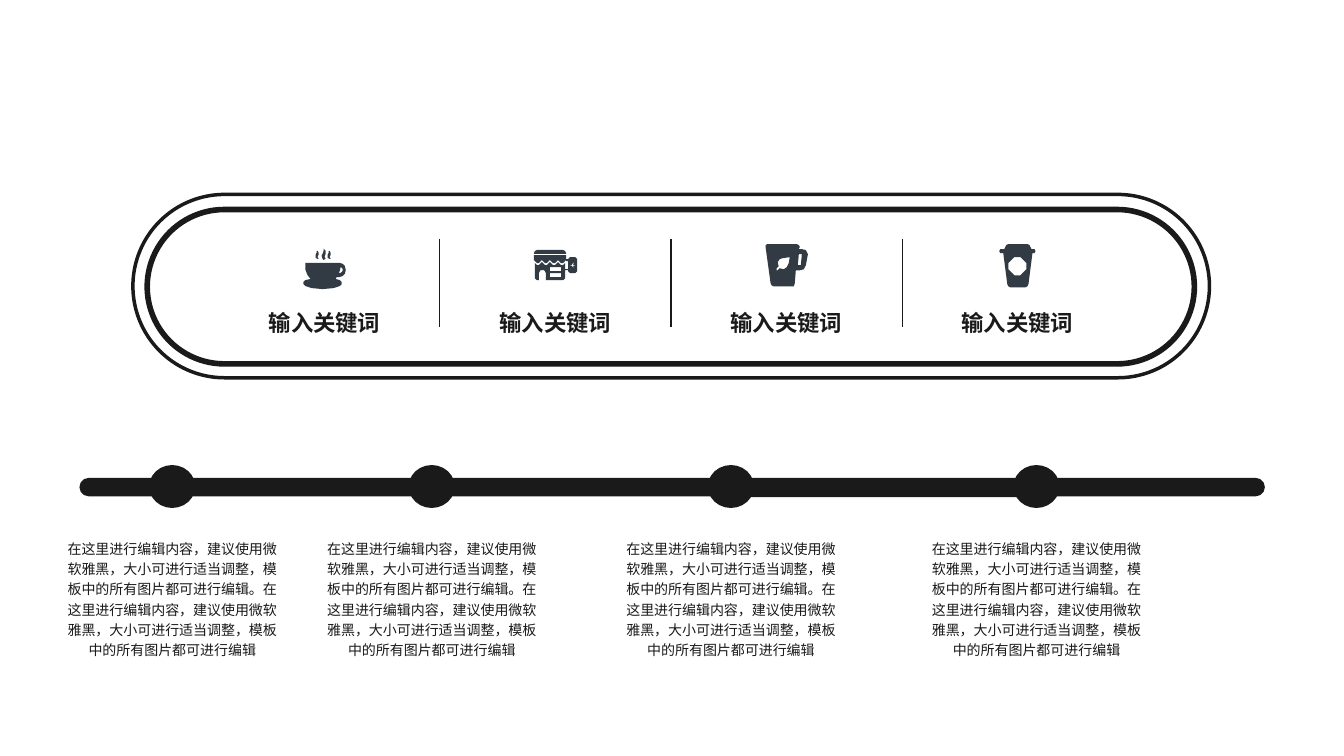
from dataclasses import dataclass
from math import cos, pi, sin

from lxml import etree
from pptx import Presentation
from pptx.dml.color import RGBColor
from pptx.enum.shapes import MSO_CONNECTOR, MSO_SHAPE
from pptx.enum.text import MSO_AUTO_SIZE, PP_ALIGN
from pptx.oxml.ns import qn
from pptx.util import Cm, Pt

ROUNDED = MSO_SHAPE.ROUNDED_RECTANGLE
OVAL = MSO_SHAPE.OVAL
STRAIGHT = MSO_CONNECTOR.STRAIGHT
CENTER = PP_ALIGN.CENTER
GROW = MSO_AUTO_SIZE.SHAPE_TO_FIT_TEXT


@dataclass(frozen=True)
class Theme:
    ink: RGBColor = RGBColor(0x1A, 0x1A, 0x1A)
    icon: RGBColor = RGBColor(0x32, 0x3B, 0x43)
    keyword_font: str = "Arial"
    body_font: str = "Noto Sans CJK SC"
    keyword_size: int = 16
    body_size: int = 10


class SlideBuilder:
    def __init__(self, page, theme):
        self.page = page
        self.theme = theme

    def shape(self, kind, left, top, width, height, line, filled=True):
        shape = self.page.shapes.add_shape(kind, Cm(left), Cm(top), Cm(width), Cm(height))
        shape.shadow.inherit = False
        if kind == ROUNDED:
            shape.adjustments[0] = 0.5
        if filled:
            shape.fill.solid()
            shape.fill.fore_color.rgb = self.theme.ink
        else:
            shape.fill.background()
        shape.line.color.rgb = self.theme.ink
        shape.line.width = Pt(line)

    def divider(self, x, top, bottom):
        line = self.page.shapes.add_connector(STRAIGHT, Cm(x), Cm(top), Cm(x), Cm(bottom))
        line.line.color.rgb = self.theme.ink
        line.line.width = Pt(0.75)
        etree.SubElement(line._element.spPr, qn("a:effectLst"))

    def icon(self, contours, center, top):
        width = max(x for contour in contours for x, y in contour)
        unit = Cm(2.54) / 100
        first, *others = contours
        builder = self.page.shapes.build_freeform(*first[0], scale=unit)
        builder.add_line_segments(first[1:])
        for contour in others:
            builder.move_to(*contour[0])
            builder.add_line_segments(contour[1:])
        shape = builder.convert_to_shape(int(Cm(center) - width * unit / 2), Cm(top))
        shape.shadow.inherit = False
        shape.fill.solid()
        shape.fill.fore_color.rgb = self.theme.icon
        shape.line.fill.background()

    def text(self, words, center, top, width, height, font, size, bold=False,
             insets=(0.25, 0.13), spacing=1.0):
        box = self.page.shapes.add_textbox(Cm(center - width / 2), Cm(top), Cm(width), Cm(height))
        frame = box.text_frame
        frame.word_wrap = True
        frame.auto_size = GROW
        frame.margin_left = frame.margin_right = Cm(insets[0])
        frame.margin_top = frame.margin_bottom = Cm(insets[1])
        frame.text = words
        para = frame.paragraphs[0]
        para.alignment = CENTER
        para.line_spacing = spacing
        span = para.runs[0]
        span.font.name = font
        span.font.size = Pt(size)
        span.font.bold = bold
        span.font.color.rgb = self.theme.ink
        east_asian = etree.SubElement(span.font._element, qn("a:ea"))
        east_asian.set("typeface", self.theme.body_font)


def ring(x, y, radius, inner=None, steps=40):
    radii = (radius, inner or radius)
    return [(x + radii[i % 2] * cos(2 * pi * i / steps),
             y + radii[i % 2] * sin(2 * pi * i / steps)) for i in range(steps)]


def rounded(left, top, right, bottom, radius):
    corners = ((right, bottom, -1, -1), (left, bottom, 1, -1),
               (left, top, 1, 1), (right, top, -1, 1))
    points = []
    for corner, (x, y, dx, dy) in enumerate(corners):
        for step in range(5):
            angle = (corner + step / 4) * pi / 2
            points.append((x + dx * radius + radius * cos(angle),
                           y + dy * radius + radius * sin(angle)))
    return points


def steam(left, top, scale):
    wisp = [(2, 0), (3, 0.5), (4, 2), (3.5, 4.5), (3, 6.5), (3.4, 8.5),
            (2.5, 9), (1, 8), (0.3, 6), (1, 4), (2, 2)]
    return [(left + x * scale, top + y * scale) for x, y in wisp]


def scallops(y, depth):
    return [(x, y + depth * abs(sin(pi * x / 8))) for x in range(33)]


def cup():
    body = [(4, 14), (36, 14), (39, 15), (41, 17), (42, 21), (41, 25), (39, 27),
            (36, 28), (33, 28), (32, 30), (36, 31), (38, 33), (38, 35), (36, 37),
            (30, 39), (19, 40), (8, 39), (2, 37), (0, 35), (0, 33), (2, 31),
            (7, 30), (4, 26), (2.5, 21), (2, 16), (2.5, 14.5)]
    handle = [(37, 18), (39, 20), (39, 22), (37, 24), (35, 24), (36, 22)]
    return [body, handle, steam(11.5, 2, 0.9), steam(17.5, 0, 1.2), steam(23.5, 2, 0.9)]


def shop():
    roof = [(0, 4), (1, 1), (3, 0), (29, 0), (31, 1), (32, 3), (32, 4)]
    awning = [(32, 5), (0, 5)] + scallops(10, 3)
    wall = scallops(12, 3)[1:-1] + [
        (31, 19), (34, 19), (34, 20), (31, 20), (31, 28), (29, 30), (12, 30),
        (12, 23), (11, 21), (10, 20), (7, 20), (5.5, 21), (5, 23), (5, 30),
        (3, 30), (1, 28)]
    bracket = [(32, 9), (34, 9), (34, 11), (32, 11)]
    panes = [rounded(16, top, 27, top + 4, 1) for top in (17, 23)]
    return [roof, awning, wall, *panes, bracket,
            rounded(34, 7, 43, 23, 3), ring(38.5, 15.5, 3.5, 1, 12)]


def mug():
    body = [(2, 0), (31, 0), (33, 1), (33.5, 3), (33, 5), (36, 5), (40, 6.5),
            (41.5, 10), (40, 21), (38, 25), (34, 26), (30, 26), (29, 39),
            (28, 41.5), (26, 42), (8, 42), (6, 41), (5, 39), (0, 3), (0.5, 1)]
    handle = [(33, 10), (36, 10), (35, 21), (31.5, 21)]
    leaf = [(24, 13), (17, 13.5), (14, 15), (12, 18), (13, 22), (11, 24), (11, 26),
            (12, 26), (14, 24), (18, 25), (21, 23), (23, 19)]
    return [body, handle, leaf]


def takeaway():
    body = [(9, 0), (28, 0), (30, 1), (32, 5), (35, 5), (36, 7), (35, 9), (33, 9),
            (29, 40), (28, 42), (26, 43), (11, 43), (9, 42), (8, 40), (4, 9),
            (1, 9), (0, 7), (1, 5), (5, 5), (7, 1)]
    return [body, ring(18, 22, 9)]


def main():
    deck = Presentation()
    deck.slide_width, deck.slide_height = Cm(33.87), Cm(19.05)
    page = deck.slides.add_slide(deck.slide_layouts[6])
    theme = Theme()
    builder = SlideBuilder(page, theme)

    milestones = (4.34, 10.88, 18.42, 26.12)
    builder.shape(ROUNDED, 2.03, 12.07, 29.82, 0.41, 1.5)
    builder.shape(ROUNDED, 18.54, 12.09, 7.32, 0.41, 1.5)
    for center in milestones:
        builder.shape(OVAL, center - 0.51, 11.79, 1.02, 0.94, 4)

    builder.shape(ROUNDED, 3.35, 4.9, 27.13, 4.62, 2.5, filled=False)
    builder.shape(ROUNDED, 3.71, 5.28, 26.39, 3.89, 4, filled=False)
    for column in range(3):
        builder.divider(11.07 + 5.84 * column, 6.02, 8.23)

    icons = ((cup(), 6.27), (shop(), 6.3), (mug(), 6.15), (takeaway(), 6.15))
    for column, (contours, top) in enumerate(icons):
        center = 8.18 + 5.82 * column
        builder.icon(contours, center, top)
        builder.text("输入关键词", center, 7.65, 3.96, 0.94,
                     theme.keyword_font, theme.keyword_size, bold=True)

    advice = "在这里进行编辑内容，建议使用微软雅黑，大小可进行适当调整，模板中的所有图片都可进行编辑"
    for center in milestones:
        builder.text("。".join([advice] * 2), center, 13.34, 6.32, 3.43,
                     theme.body_font, theme.body_size, insets=(0.41, 0.2), spacing=1.2)

    deck.save("out.pptx")


if __name__ == "__main__":
    main()
